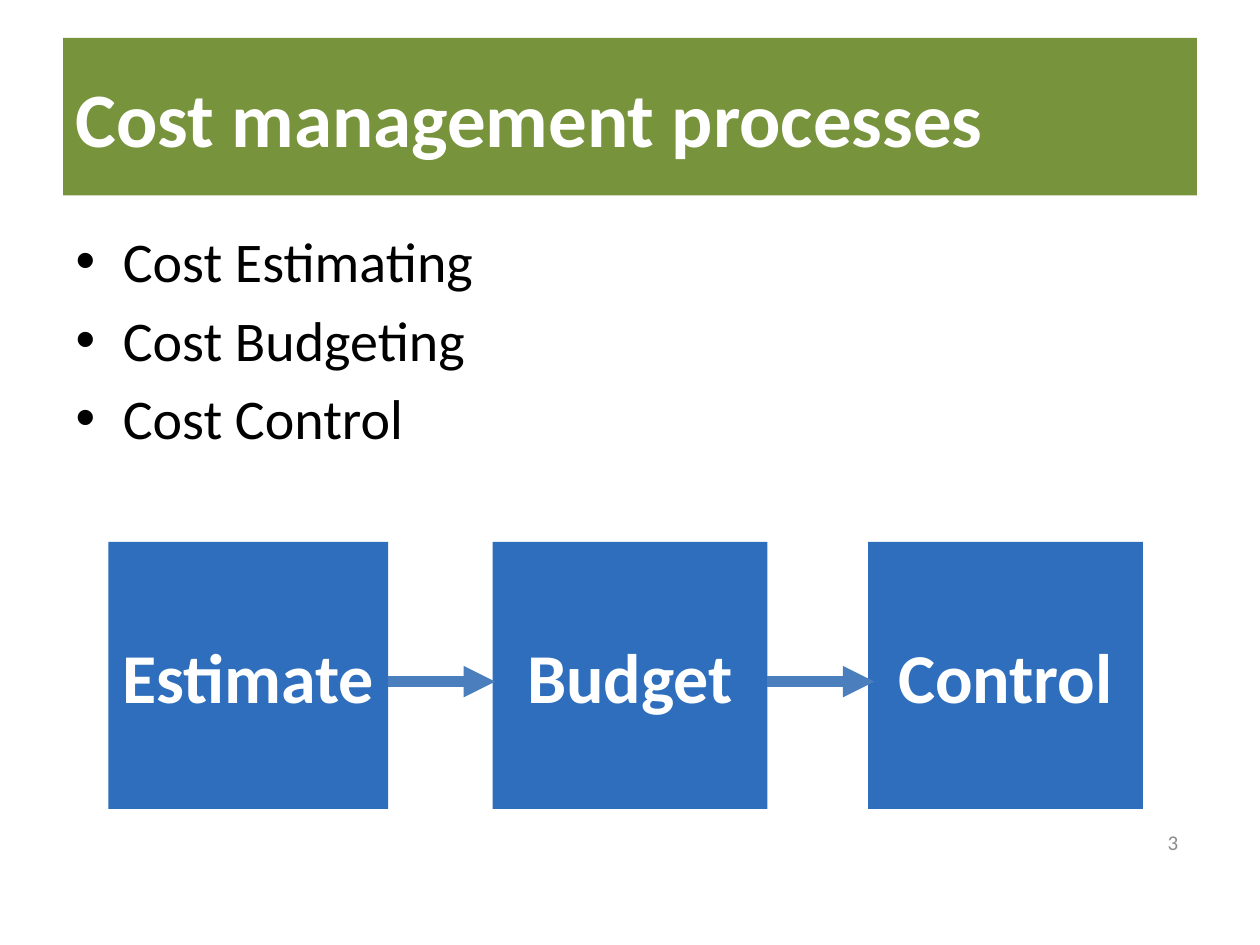
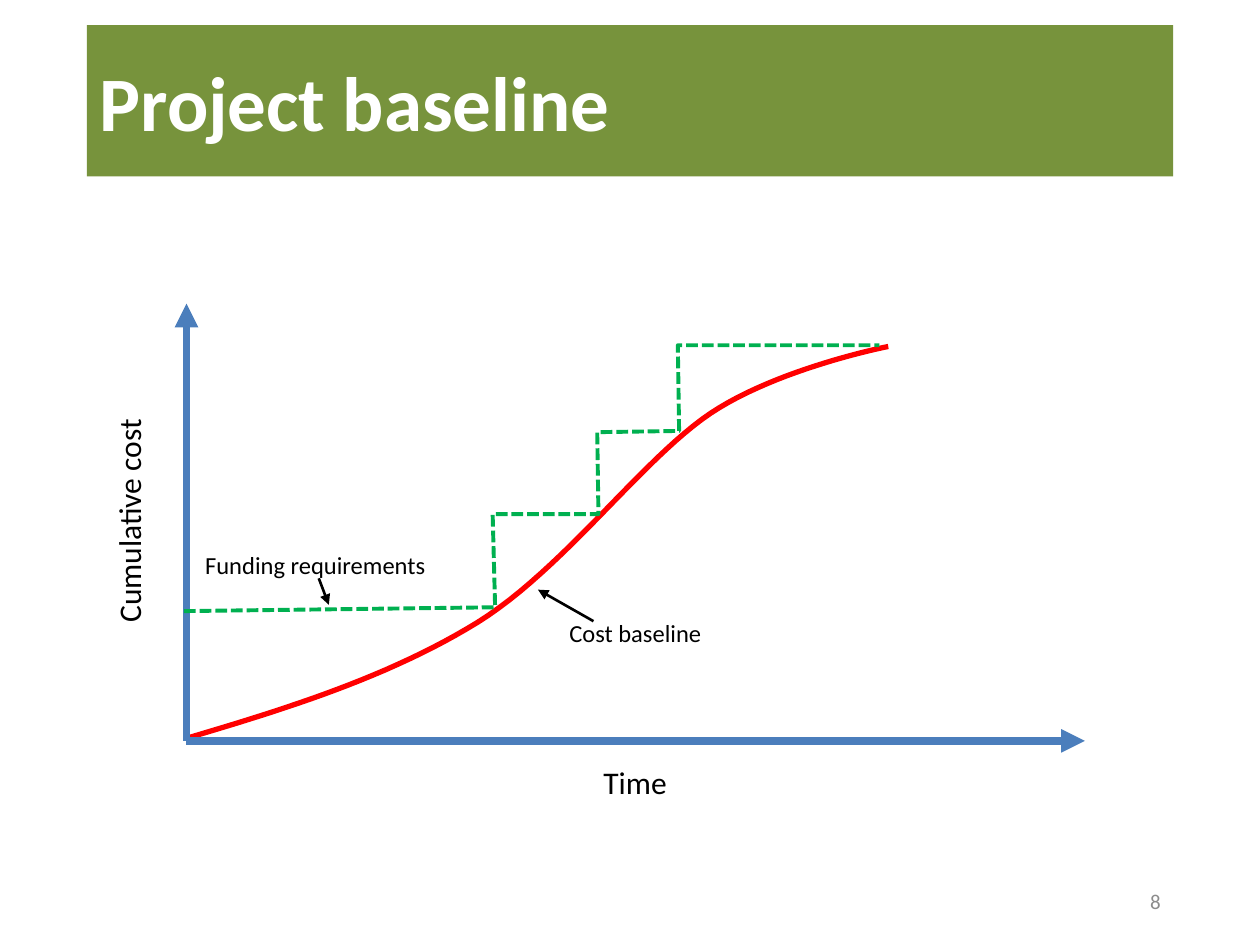
from dataclasses import dataclass

from lxml import etree
from pptx import Presentation
from pptx.dml.color import RGBColor
from pptx.enum.dml import MSO_LINE
from pptx.enum.shapes import MSO_CONNECTOR, MSO_SHAPE
from pptx.enum.text import MSO_ANCHOR, MSO_AUTO_SIZE, PP_ALIGN
from pptx.oxml.ns import qn
from pptx.slide import Slide
from pptx.util import Inches, Pt

LEFT, CENTER, RIGHT = PP_ALIGN.LEFT, PP_ALIGN.CENTER, PP_ALIGN.RIGHT
MIDDLE = MSO_ANCHOR.MIDDLE
NO_AUTOFIT = MSO_AUTO_SIZE.NONE
STRAIGHT = MSO_CONNECTOR.STRAIGHT
RECTANGLE = MSO_SHAPE.RECTANGLE
SHORT_DASH = MSO_LINE.SQUARE_DOT

TITLE_AND_CONTENT_LAYOUT = 1
TITLE_ONLY_LAYOUT = 5
CURVE_STEPS = 24

Point = tuple[float, float]


@dataclass(frozen=True)
class Theme:
    font: str = "Calibri"
    white: str = "FFFFFF"
    black: str = "000000"
    gray: str = "8C8C8C"
    green: str = "77933C"
    box_blue: str = "2E6EBC"
    line_blue: str = "4B7EBC"
    red: str = "FF0000"
    funding_green: str = "00B050"
    title_size: int = 44
    box_size: int = 40
    body_size: int = 32
    axis_size: int = 18
    label_size: int = 14
    number_size: int = 12


THEME = Theme()


@dataclass(frozen=True)
class Frame:
    left: float
    top: float
    width: float
    height: float

    def lengths(self) -> list[Inches]:
        return [Inches(value) for value in (self.left, self.top, self.width, self.height)]


@dataclass(frozen=True)
class ProcessBox:
    text: str
    left: float
    width: float


@dataclass(frozen=True)
class Label:
    text: str
    frame: Frame
    size: int
    color: str = THEME.black
    alignment: PP_ALIGN = LEFT
    rotation: int = 0


@dataclass(frozen=True)
class Arrow:
    start: Point
    end: Point
    color: str
    weight: float


PROCESS_BOXES = (
    ProcessBox("Estimate", 0.86, 2.22),
    ProcessBox("Budget", 3.91, 2.18),
    ProcessBox("Control", 6.89, 2.18),
)
BOX_TOP, BOX_HEIGHT = 4.3, 2.12
FLOW_Y, FLOW_LENGTH = 5.41, 0.85

ORIGIN = (1.48, 5.88)
BASELINE_ARROWS = (
    Arrow(ORIGIN, (1.48, 2.41), THEME.line_blue, 4.5),
    Arrow(ORIGIN, (8.61, 5.88), THEME.line_blue, 4.5),
    Arrow((2.53, 4.59), (2.61, 4.8), THEME.black, 1.5),
    Arrow((4.71, 4.93), (4.27, 4.68), THEME.black, 1.5),
)
BASELINE_LABELS = (
    Label("Time", Frame(4.69, 6.01, 0.71, 0.4), THEME.axis_size),
    Label("Cumulative cost", Frame(0.1, 3.92, 1.84, 0.4), THEME.axis_size, rotation=270),
    Label("Funding requirements", Frame(1.53, 4.31, 1.97, 0.34), THEME.label_size),
    Label("Cost baseline", Frame(4.42, 4.85, 1.26, 0.34), THEME.label_size),
)
COST_CURVE = (
    ((1.48, 5.86), (2.29, 5.62), (3.09, 5.37), (3.79, 4.94)),
    ((3.79, 4.94), (4.48, 4.51), (5.09, 3.65), (5.64, 3.28)),
    ((5.64, 3.28), (6.18, 2.92), (7.05, 2.75), (7.05, 2.75)),
)
FUNDING_STEPS = [
    (1.46, 4.85), (3.93, 4.82), (3.91, 4.08), (4.75, 4.08),
    (4.74, 3.43), (5.39, 3.42), (5.38, 2.74), (6.98, 2.74),
]


def rgb(color: str) -> RGBColor:
    return RGBColor.from_string(color)


def format_paragraph(paragraph, size: int, color: str, bold: bool = False,
                     alignment: PP_ALIGN = LEFT) -> None:
    paragraph.alignment = alignment
    paragraph.font.name = THEME.font
    paragraph.font.size = Pt(size)
    paragraph.font.bold = bold
    paragraph.font.color.rgb = rgb(color)


def place(shape, frame: Frame) -> None:
    shape.left, shape.top, shape.width, shape.height = frame.lengths()


def set_title(slide: Slide, text: str, frame: Frame) -> None:
    title = slide.shapes.title
    place(title, frame)
    title.fill.solid()
    title.fill.fore_color.rgb = rgb(THEME.green)
    title.text_frame.text = text
    title.text_frame.vertical_anchor = MIDDLE
    title.text_frame.auto_size = NO_AUTOFIT
    format_paragraph(title.text_frame.paragraphs[0], THEME.title_size, THEME.white, True)


def set_bullets(slide: Slide, items: list[str], frame: Frame) -> None:
    body = slide.placeholders[1]
    place(body, frame)
    body.text_frame.text = "\n".join(items)
    body.text_frame.auto_size = NO_AUTOFIT
    for paragraph in body.text_frame.paragraphs:
        format_paragraph(paragraph, THEME.body_size, THEME.black)


def add_label(slide: Slide, label: Label) -> None:
    text_box = slide.shapes.add_textbox(*label.frame.lengths())
    text_box.rotation = label.rotation
    text_frame = text_box.text_frame
    text_frame.text = label.text
    text_frame.word_wrap = label.alignment == RIGHT
    text_frame.vertical_anchor = MIDDLE
    format_paragraph(text_frame.paragraphs[0], label.size, label.color,
                     alignment=label.alignment)


def add_slide_number(slide: Slide, number: int, frame: Frame) -> None:
    add_label(slide, Label(str(number), frame, THEME.number_size, THEME.gray, RIGHT))


def add_process_box(slide: Slide, box: ProcessBox) -> None:
    frame = Frame(box.left, BOX_TOP, box.width, BOX_HEIGHT)
    shape = slide.shapes.add_shape(RECTANGLE, *frame.lengths())
    shape.shadow.inherit = False
    shape.fill.solid()
    shape.fill.fore_color.rgb = rgb(THEME.box_blue)
    shape.line.fill.background()
    shape.text_frame.text = box.text
    shape.text_frame.word_wrap = False
    shape.text_frame.vertical_anchor = MIDDLE
    format_paragraph(shape.text_frame.paragraphs[0], THEME.box_size, THEME.white, True, CENTER)


def add_arrow(slide: Slide, arrow: Arrow) -> None:
    ends = [Inches(value) for value in (*arrow.start, *arrow.end)]
    connector = slide.shapes.add_connector(STRAIGHT, *ends)
    connector.line.color.rgb = rgb(arrow.color)
    connector.line.width = Pt(arrow.weight)
    properties = connector._element.spPr
    etree.SubElement(properties.find(qn("a:ln")), qn("a:tailEnd"), type="triangle")
    etree.SubElement(properties, qn("a:effectLst"))


def add_path(slide: Slide, points: list[Point], color: str, weight: float,
             dashed: bool = False) -> None:
    start, *others = [(Inches(x), Inches(y)) for x, y in points]
    builder = slide.shapes.build_freeform(*start)
    builder.add_line_segments(others, close=False)
    shape = builder.convert_to_shape()
    shape.shadow.inherit = False
    shape.fill.background()
    shape.line.color.rgb = rgb(color)
    shape.line.width = Pt(weight)
    if dashed:
        shape.line.dash_style = SHORT_DASH


def bezier_point(controls: tuple[Point, ...], t: float) -> Point:
    weights = ((1 - t) ** 3, 3 * t * (1 - t) ** 2, 3 * t ** 2 * (1 - t), t ** 3)
    x, y = (sum(weight * value for weight, value in zip(weights, axis))
            for axis in zip(*controls))
    return x, y


def curve_points(segments: tuple[tuple[Point, ...], ...]) -> list[Point]:
    return [segments[0][0]] + [
        bezier_point(controls, step / CURVE_STEPS)
        for controls in segments
        for step in range(1, CURVE_STEPS + 1)
    ]


def build_processes_slide(presentation) -> None:
    slide = presentation.slides.add_slide(presentation.slide_layouts[TITLE_AND_CONTENT_LAYOUT])
    set_title(slide, "Cost management processes", Frame(0.5, 0.3, 9, 1.25))
    set_bullets(slide, ["Cost Estimating", "Cost Budgeting", "Cost Control"],
                Frame(0.5, 1.75, 9, 4.95))
    add_slide_number(slide, 3, Frame(7.12, 6.48, 2.33, 0.4))
    for box in PROCESS_BOXES:
        add_process_box(slide, box)
    for box in PROCESS_BOXES[:-1]:
        right = box.left + box.width
        add_arrow(slide, Arrow((right, FLOW_Y), (right + FLOW_LENGTH, FLOW_Y),
                               THEME.line_blue, 6))


def build_baseline_slide(presentation) -> None:
    slide = presentation.slides.add_slide(presentation.slide_layouts[TITLE_ONLY_LAYOUT])
    set_title(slide, "Project baseline", Frame(0.69, 0.2, 8.62, 1.2))
    add_slide_number(slide, 8, Frame(7.06, 6.95, 2.25, 0.4))
    add_path(slide, curve_points(COST_CURVE), THEME.red, 3)
    for arrow in BASELINE_ARROWS:
        add_arrow(slide, arrow)
    add_path(slide, FUNDING_STEPS, THEME.funding_green, 2.25, dashed=True)
    for label in BASELINE_LABELS:
        add_label(slide, label)


def main() -> None:
    presentation = Presentation()
    presentation.slide_width = Inches(10)
    presentation.slide_height = Inches(7.5)
    build_processes_slide(presentation)
    build_baseline_slide(presentation)
    presentation.save("out.pptx")


if __name__ == "__main__":
    main()
